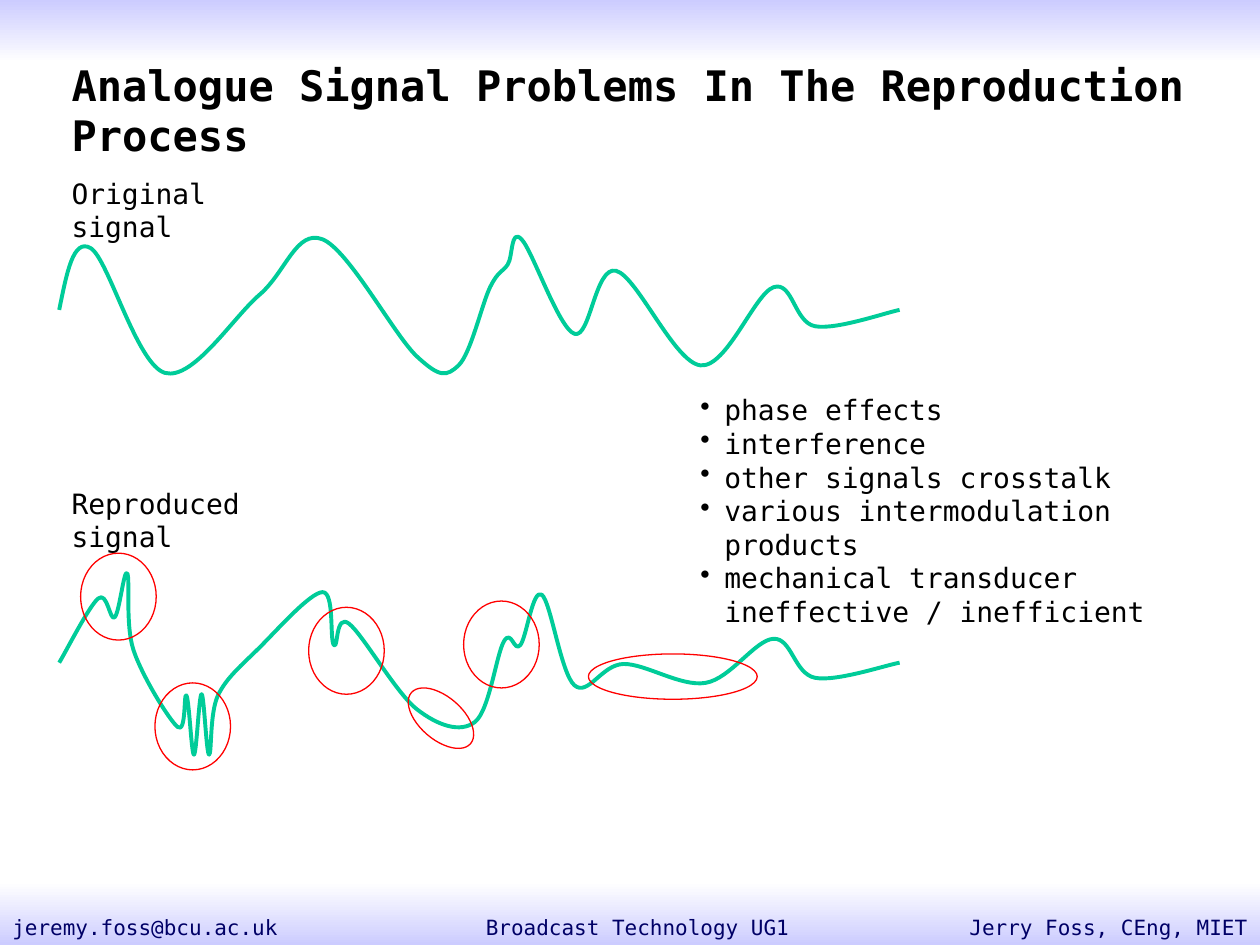
from dataclasses import dataclass

from lxml.etree import SubElement
from pptx import Presentation
from pptx.dml.color import RGBColor
from pptx.enum.shapes import MSO_SHAPE as Shape
from pptx.enum.text import MSO_AUTO_SIZE as AutoSize, PP_ALIGN as Align
from pptx.oxml.ns import qn
from pptx.util import Emu, Inches, Pt

COLUMNS, ROWS = 10, 7.5
CELL = Inches(1)
FONT = "DejaVu Sans Mono"
BLACK, NAVY, LILAC, WHITE = "000000", "000066", "CCCCFF", "FFFFFF"
GREEN, RED = "00CC99", "FF0000"
MARGIN = 0.47
BAND_HEIGHT = 0.5
FOOTER_ROW = 7.21
DISTORTION_SIZE = (0.6, 0.69)

Point = tuple[float, float]


@dataclass
class Box:
    """A frame measured in columns and rows of the slide grid."""
    left: float
    top: float
    width: float
    height: float

    def emu(self) -> list[Emu]:
        return [Emu(round(v * CELL)) for v in (self.left, self.top, self.width, self.height)]


@dataclass
class Signal:
    """A waveform through its knots, with the knot that would precede the first."""
    lead: Point
    knots: list[Point]


@dataclass
class Distortion:
    """A ring around a damaged part of the signal."""
    box: Box
    rotation: float = 0


@dataclass
class Label:
    """Lines of text and how they are set."""
    box: Box
    lines: list[str]
    size: float = 16
    color: str = BLACK
    bold: bool = False
    align: Align = Align.LEFT
    bulleted: bool = False


SIGNALS = [
    Signal((0.36, 3.71), [
        (0.47, 2.46), (0.72, 1.97), (1.31, 2.96), (2.06, 2.34), (2.56, 1.9), (3.31, 2.83),
        (3.64, 2.9), (3.89, 2.28), (4.03, 2.1), (4.14, 1.9), (4.56, 2.65), (4.89, 2.15),
        (5.56, 2.9), (6.14, 2.28), (6.47, 2.59), (7.14, 2.46)]),
    Signal((0.47, 5.26), [
        (0.47, 5.26), (0.78, 4.75), (0.91, 4.9), (1.01, 4.55), (1.06, 5.16), (1.41, 5.77),
        (1.48, 5.52), (1.54, 5.99), (1.6, 5.51), (1.66, 5.99), (1.73, 5.52), (2.06, 5.14),
        (2.56, 4.7), (2.65, 5.12), (2.77, 4.95), (3.31, 5.63), (3.77, 5.73), (4, 5.09),
        (4.13, 5.12), (4.3, 4.72), (4.56, 5.44), (4.95, 5.27), (5.6, 5.42), (6.14, 5.07),
        (6.47, 5.38), (7.14, 5.26)]),
]
DISTORTIONS = [
    Distortion(Box(0.64, 4.39, *DISTORTION_SIZE)),
    Distortion(Box(1.23, 5.42, *DISTORTION_SIZE)),
    Distortion(Box(2.45, 4.82, *DISTORTION_SIZE)),
    Distortion(Box(3.33, 5.39, 0.34, 0.62), 310.8),
    Distortion(Box(3.68, 4.77, *DISTORTION_SIZE)),
    Distortion(Box(4.67, 5.19, 1.34, 0.36)),
]
LABELS = [
    Label(Box(2.66, FOOTER_ROW, 4.8, 0.29), ["Broadcast Technology UG1"], 12, NAVY,
          align=Align.CENTER),
    Label(Box(0, FOOTER_ROW, 3.17, 0.29), ["jeremy.foss@bcu.ac.uk"], 12, NAVY),
    Label(Box(6.83, FOOTER_ROW, 3.17, 0.29), ["Jerry Foss, CEng, MIET"], 12, NAVY,
          align=Align.RIGHT),
    Label(Box(MARGIN, 0.42, 9.13, 0.5),
          ["Analogue Signal Problems In The Reproduction Process"], 24, bold=True),
    Label(Box(MARGIN, 1.35, 1.77, 0.37), ["Original signal"]),
    Label(Box(MARGIN, 3.81, 2.2, 0.37), ["Reproduced signal"]),
    Label(Box(5.46, 3.07, 4.54, 1.7), [
        "phase effects", "interference", "other signals crosstalk",
        "various intermodulation products",
        "mechanical transducer ineffective / inefficient"], bulleted=True),
]


def rgb(color: str) -> RGBColor:
    """Turn a hex string into a colour."""
    return RGBColor.from_string(color)


def set_outline(shape, color: str, width: float) -> None:
    """Leave a shape hollow and give it a plain outline."""
    shape.shadow.inherit = False
    shape.fill.background()
    shape.line.color.rgb = rgb(color)
    shape.line.width = Pt(width)


def add_band(slide, top: float, colors: tuple[str, str]) -> None:
    """Draw a full-width band that fades from the first colour down to the second."""
    shape = slide.shapes.add_shape(
        Shape.RECTANGLE, *Box(0, top, COLUMNS, BAND_HEIGHT).emu())
    shape.shadow.inherit = False
    shape.line.fill.background()
    shape.fill.gradient()
    shape.fill.gradient_angle = 270
    for stop, color in zip(shape.fill.gradient_stops, colors):
        stop.color.rgb = rgb(color)


def add_text(slide, lines: list[str], *, box: Box, size: float, color: str,
             bold: bool, align: Align, bulleted: bool) -> None:
    """Write one paragraph per line in a wrapping text box."""
    frame = slide.shapes.add_textbox(*box.emu()).text_frame
    frame.word_wrap = True
    frame.auto_size = AutoSize.SHAPE_TO_FIT_TEXT
    for index, line in enumerate(lines):
        paragraph = frame.add_paragraph() if index else frame.paragraphs[0]
        paragraph.alignment = align
        if bulleted:
            properties = paragraph._p.get_or_add_pPr()
            properties.set("marL", str(Inches(0.19)))
            properties.set("indent", str(-Inches(0.19)))
            SubElement(properties, qn("a:buChar"), char="•")
        run = paragraph.add_run()
        run.text = line
        run.font.name = FONT
        run.font.size = Pt(size)
        run.font.bold = bold
        run.font.color.rgb = rgb(color)


def curve_points(signal: Signal) -> list[Point]:
    """List two handles and an end for each piece of a Catmull-Rom spline."""
    knots = [signal.lead, *signal.knots, signal.knots[-1]]
    points = []
    for before, start, end, after in zip(knots, knots[1:], knots[2:], knots[3:]):
        points += [
            tuple(s + (e - b) / 6 for b, s, e in zip(before, start, end)),
            tuple(e - (a - s) / 6 for s, e, a in zip(start, end, after)),
            end,
        ]
    return points


def add_signal(slide, signal: Signal) -> None:
    """Draw a waveform as one open outline of cubic curves."""
    builder = slide.shapes.build_freeform(*signal.knots[0], scale=CELL)
    builder = slide.shapes.build_freeform(
        *(round(v * 1000) for v in signal.knots[0]), scale=CELL / 1000)
    builder.add_line_segments(
        [(round(x * 1000), round(y * 1000)) for x, y in curve_points(signal)], close=False)
    shape = builder.convert_to_shape()
    set_outline(shape, GREEN, 2.25)
    segments = list(shape._element.iter(qn("a:lnTo")))
    outline = segments[0].getparent()
    for first in range(0, len(segments), 3):
        curve = SubElement(outline, qn("a:cubicBezTo"))
        for segment in segments[first:first + 3]:
            curve.append(segment[0])
            outline.remove(segment)


def add_distortion(slide, distortion: Distortion) -> None:
    """Ring a damaged part of the signal."""
    shape = slide.shapes.add_shape(Shape.OVAL, *distortion.box.emu())
    shape.rotation = distortion.rotation
    set_outline(shape, RED, 0.75)


def main() -> None:
    """Build and save the slide."""
    presentation = Presentation()
    presentation.slide_width = Emu(COLUMNS * CELL)
    presentation.slide_height = Emu(int(ROWS * CELL))
    slide = presentation.slides.add_slide(presentation.slide_layouts[6])
    add_band(slide, 0, (LILAC, WHITE))
    add_band(slide, ROWS - BAND_HEIGHT, (WHITE, LILAC))
    for signal in SIGNALS:
        add_signal(slide, signal)
    for label in LABELS:
        add_text(slide, label.lines, box=label.box, size=label.size, color=label.color,
                 bold=label.bold, align=label.align, bulleted=label.bulleted)
    for distortion in DISTORTIONS:
        add_distortion(slide, distortion)
    presentation.save("out.pptx")


if __name__ == "__main__":
    main()
